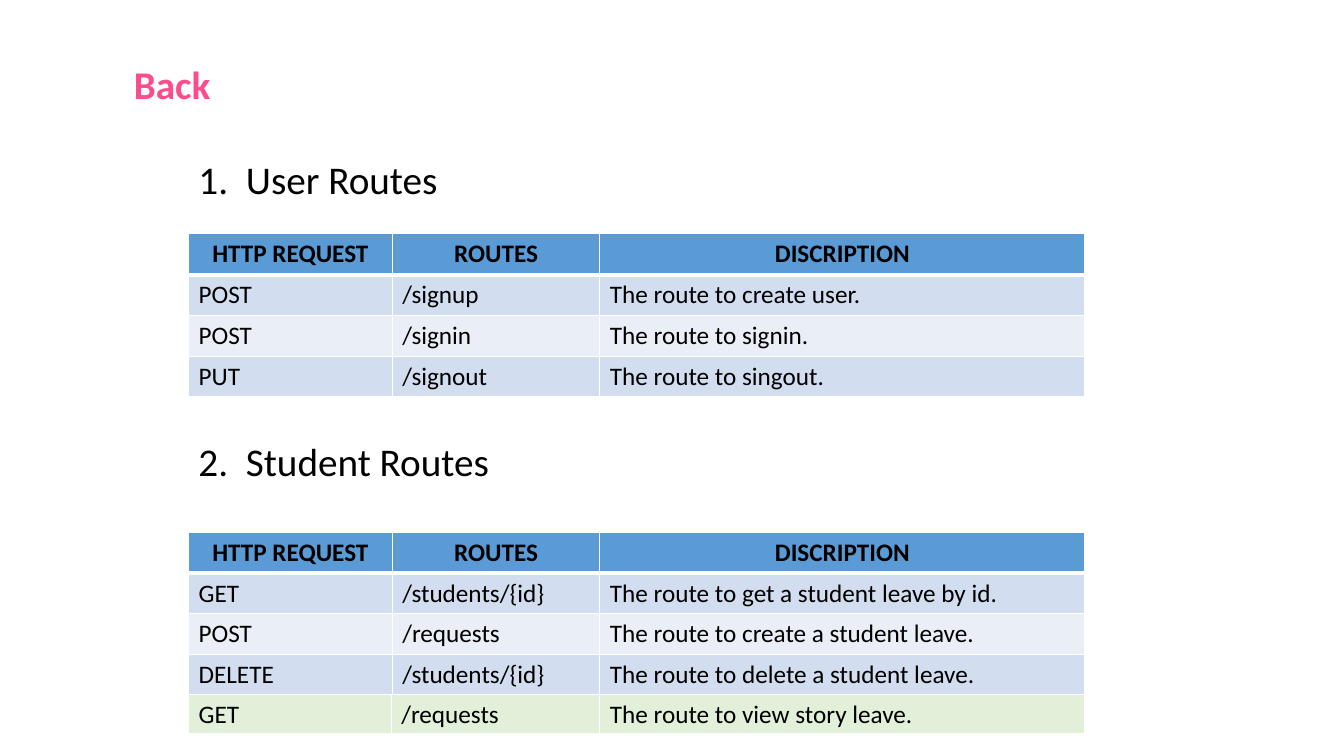
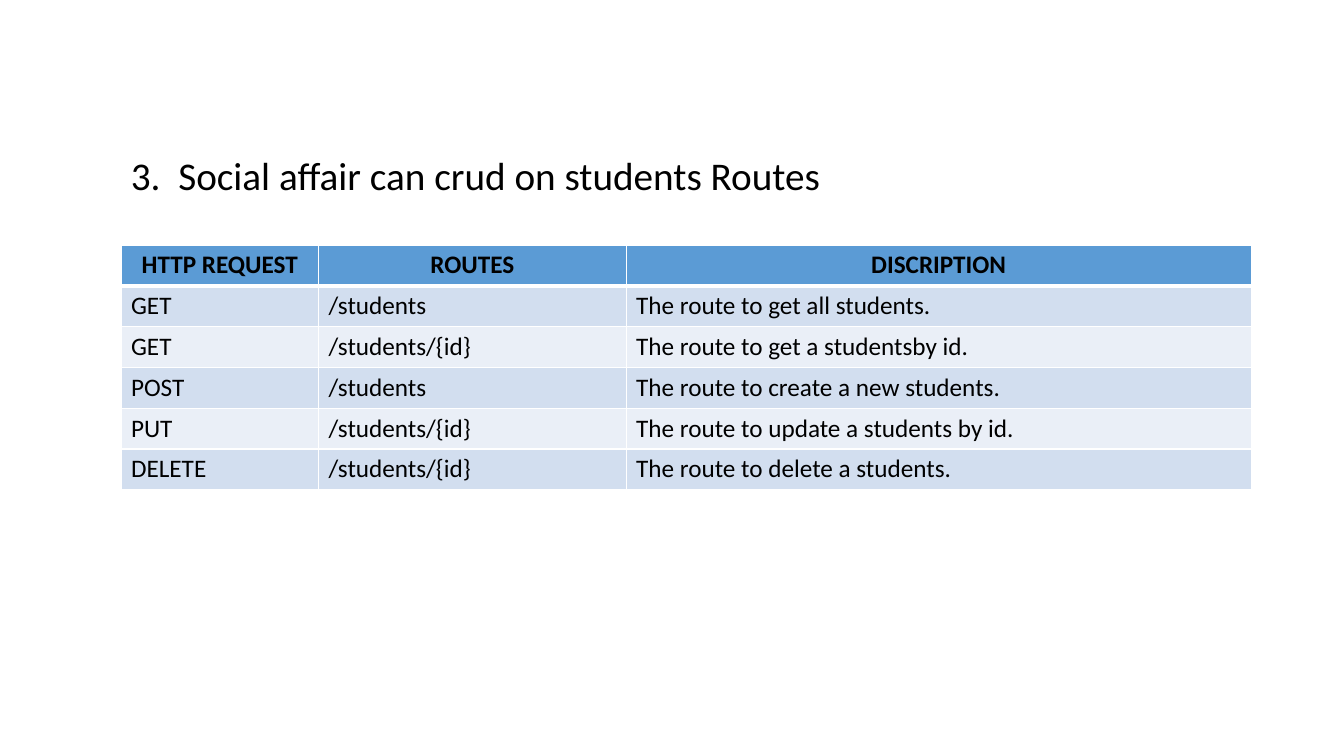
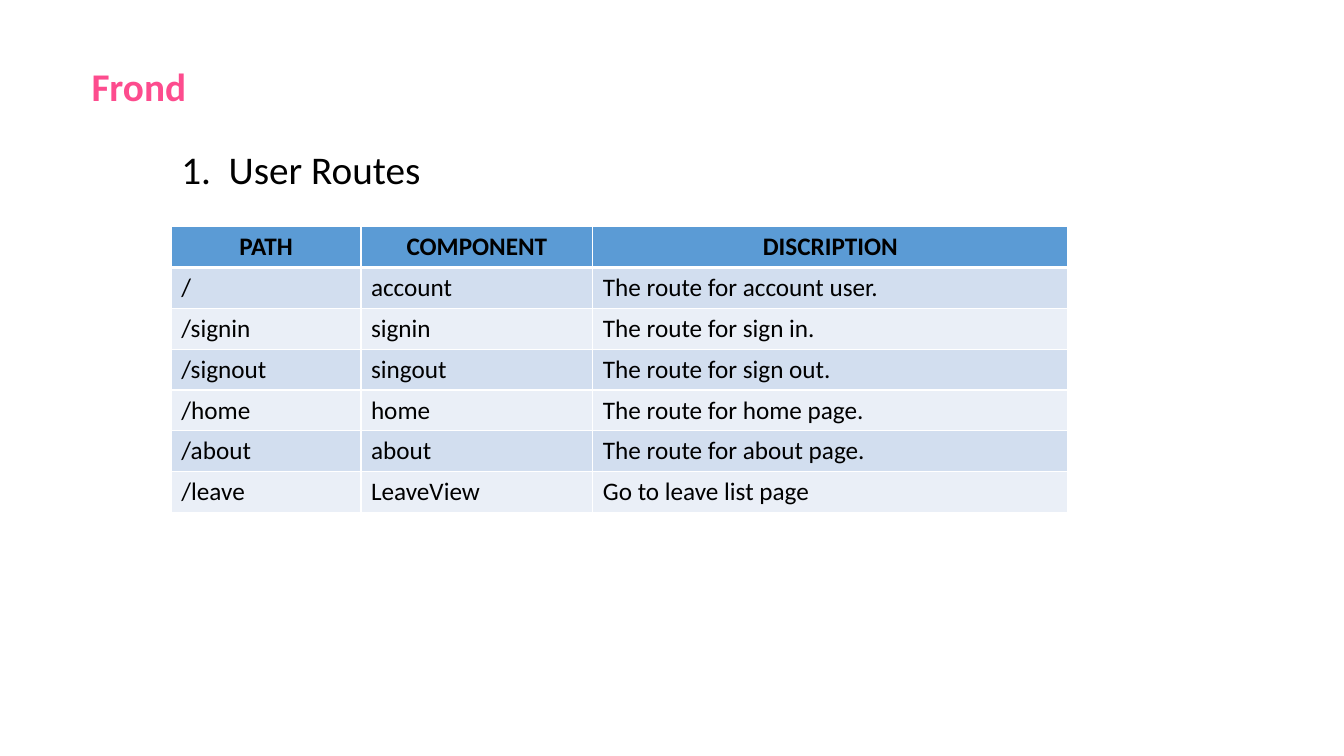
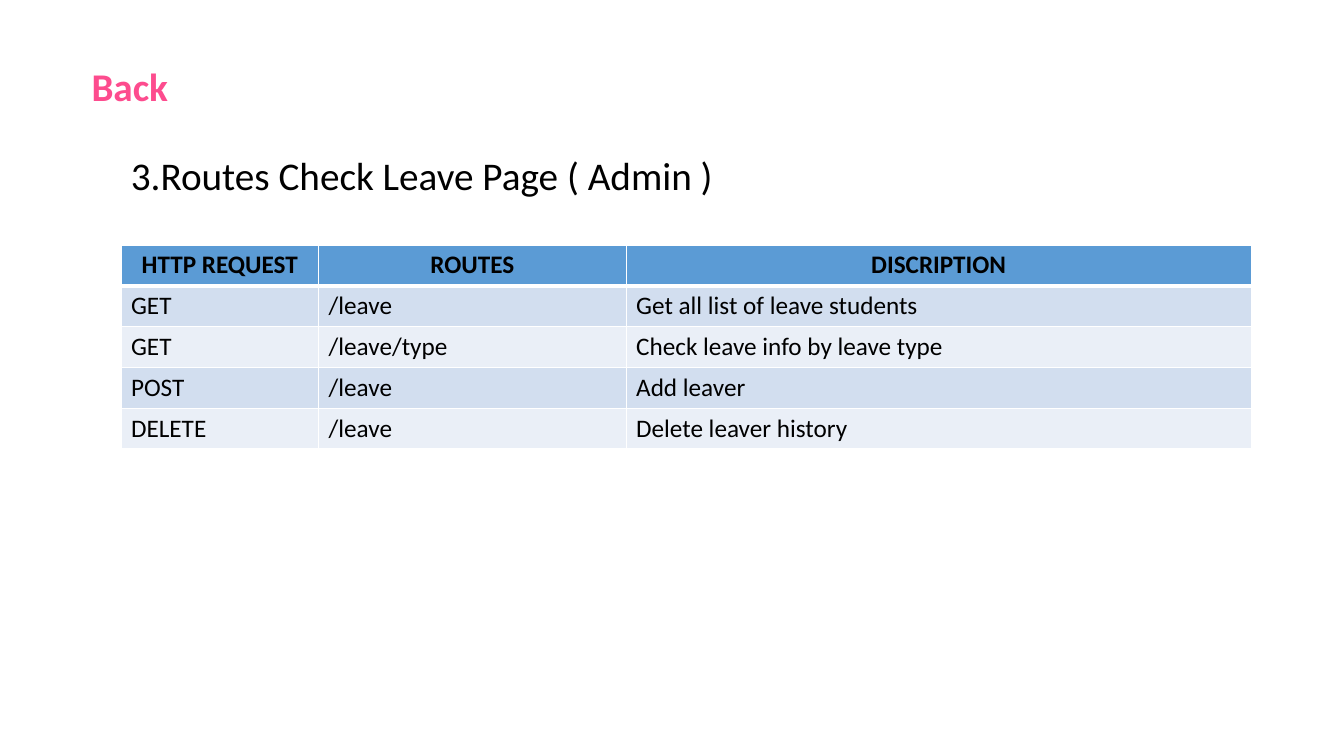
from lxml.etree import SubElement
from pptx import Presentation
from pptx.dml.color import RGBColor
from pptx.enum.text import PP_ALIGN as ALIGN
from pptx.oxml import parse_xml
from pptx.oxml.ns import nsdecls, qn
from pptx.util import Inches, Pt

FONT = "Calibri"
BLACK, WHITE, PINK = "000000", "FFFFFF", "FD4C8E"
HEADER, BANDS, GREEN = "5B9BD5", ("D2DEEF", "EAEFF7"), "E2F0D9"
ROW_H = Inches(1.62) // 4
TITLE = dict(size=Pt(28), bold=True)
HEADING = dict(size=Pt(28), bold=False)

REQUEST = ("HTTP REQUEST", "ROUTES", "DISCRIPTION")
PATH = ("PATH", "COMPONENT", "DISCRIPTION")
NARROW, WIDE = (2.02, 2.06, 4.81), (1.96, 3.05, 6.2)

# Each slide: texts (left, top, width, text, colour, format)
# and tables (left, top, column widths, header, rows)
SLIDES = [
    ([(1.23, 0.6, 11.5, "Back", PINK, TITLE),
      (1.87, 1.54, 10.78, "1.  User Routes", BLACK, HEADING),
      (1.87, 4.34, 10.78, "2.  Student Routes", BLACK, HEADING)],
     [(1.87, 2.32, NARROW, REQUEST, [
         ("POST", "/signup", "The route to create user."),
         ("POST", "/signin", "The route to signin."),
         ("PUT", "/signout", "The route to singout.")]),
      (1.87, 5.28, NARROW, REQUEST, [
         ("GET", "/students/{id}", "The route to get a student leave by id."),
         ("POST", "/requests", "The route to create a student leave."),
         ("DELETE", "/students/{id}", "The route to delete a student leave.")]),
      (1.87, 6.89, (2.01, 2.07, 4.81), None, [
         ("GET", "/requests", "The route to view story leave.")])]),
    ([(1.2, 1.5, 11.5, "3.  Social affair can crud on students Routes", BLACK, HEADING)],
     [(1.2, 2.43, WIDE, REQUEST, [
         ("GET", "/students", "The route to get all students."),
         ("GET", "/students/{id}", "The route to get a studentsby id."),
         ("POST", "/students", "The route to create a new students."),
         ("PUT", "/students/{id}", "The route to update a students by id."),
         ("DELETE", "/students/{id}", "The route to delete a students.")])]),
    ([(0.81, 0.62, 11.5, "Frond", PINK, TITLE),
      (1.7, 1.44, 10.78, "1.  User Routes", BLACK, HEADING)],
     [(1.7, 2.25, (1.88, 2.3, 4.71), PATH, [
         ("/", "account", "The route for account user."),
         ("/signin", "signin", "The route for sign in."),
         ("/signout", "singout", "The route for sign out."),
         ("/home", "home", "The route for home page."),
         ("/about", "about", "The route for about page."),
         ("/leave", "LeaveView", "Go to leave list page")])]),
    ([(0.81, 0.62, 11.5, "Back", PINK, TITLE),
      (1.2, 1.5, 11.5, "3.Routes Check Leave Page ( Admin )", BLACK, HEADING)],
     [(1.2, 2.43, WIDE, REQUEST, [
         ("GET", "/leave", "Get all list of leave students"),
         ("GET", "/leave/type", "Check leave info by leave type"),
         ("POST", "/leave", "Add leaver"),
         ("DELETE", "/leave", "Delete leaver history")])]),
]


def paint(target, color):
    """Give a fill or a font a colour from a hex string."""
    if hasattr(target, "solid"):
        target.solid()
        target.fore_color.rgb = RGBColor.from_string(color)
    else:
        target.color.rgb = RGBColor.from_string(color)


def write(tf, text, color, fmt):
    """Write one formatted run in a text frame and return its paragraph."""
    p = tf.paragraphs[0]
    r = p.add_run()
    r.text = text
    for name, value in dict(name=FONT, **fmt).items():
        setattr(r.font, name, value)
    paint(r.font, color)
    return p


prs = Presentation()
prs.slide_width, prs.slide_height = Inches(13.33), Inches(7.5)

for texts, tables in SLIDES:
    s = prs.slides.add_slide(prs.slide_layouts[6])
    paint(s.background.fill, WHITE)

    for left, top, width, text, color, fmt in texts:
        sp = s.shapes.add_textbox(Inches(left), Inches(top), Inches(width), Inches(0.55))
        sp.text_frame.word_wrap = True
        p = write(sp.text_frame, text, color, fmt)
        p.line_spacing, p.space_before = 0.9, Pt(10)

    for left, top, widths, header, rows in tables:
        lines = [header] + rows if header else rows
        table = s.shapes.add_table(
            len(lines), len(widths), Inches(left), Inches(top),
            Inches(sum(widths)), ROW_H * len(lines)).table
        table.first_row = bool(header)
        table.horz_banding = False
        for column, width in zip(table.columns, widths):
            column.width = Inches(width)

        for i, line in enumerate(lines):
            is_header = bool(header) and i == 0
            fill = HEADER if is_header else BANDS[(i - 1) % 2] if header else GREEN
            edges = dict(lnL=1, lnR=1,
                         lnT=3 if header and i == 1 else 1,
                         lnB=3 if is_header or not header else 1)
            for j, text in enumerate(line):
                cell = table.cell(i, j)
                p = write(cell.text_frame, text, BLACK, dict(size=Pt(18), bold=is_header))
                if is_header:
                    p.alignment = ALIGN.CENTER
                paint(cell.fill, fill)
                tcPr = cell._tc.get_or_add_tcPr()
                for k, (edge, points) in enumerate(edges.items()):
                    ln = parse_xml(f'<a:{edge} {nsdecls("a")} w="{Pt(points)}"/>')
                    solid = SubElement(ln, qn("a:solidFill"))
                    SubElement(solid, qn("a:srgbClr"), val=WHITE)
                    tcPr.insert(k, ln)

prs.save("out.pptx")
